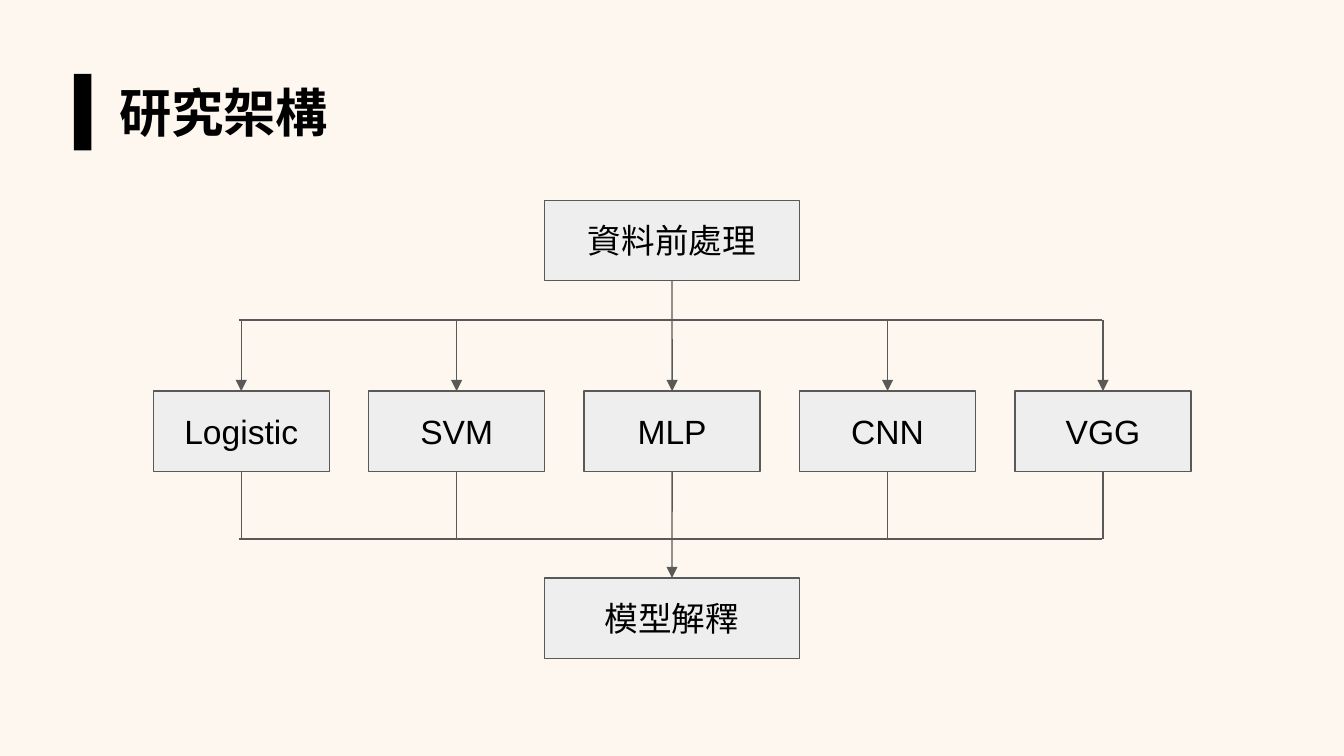
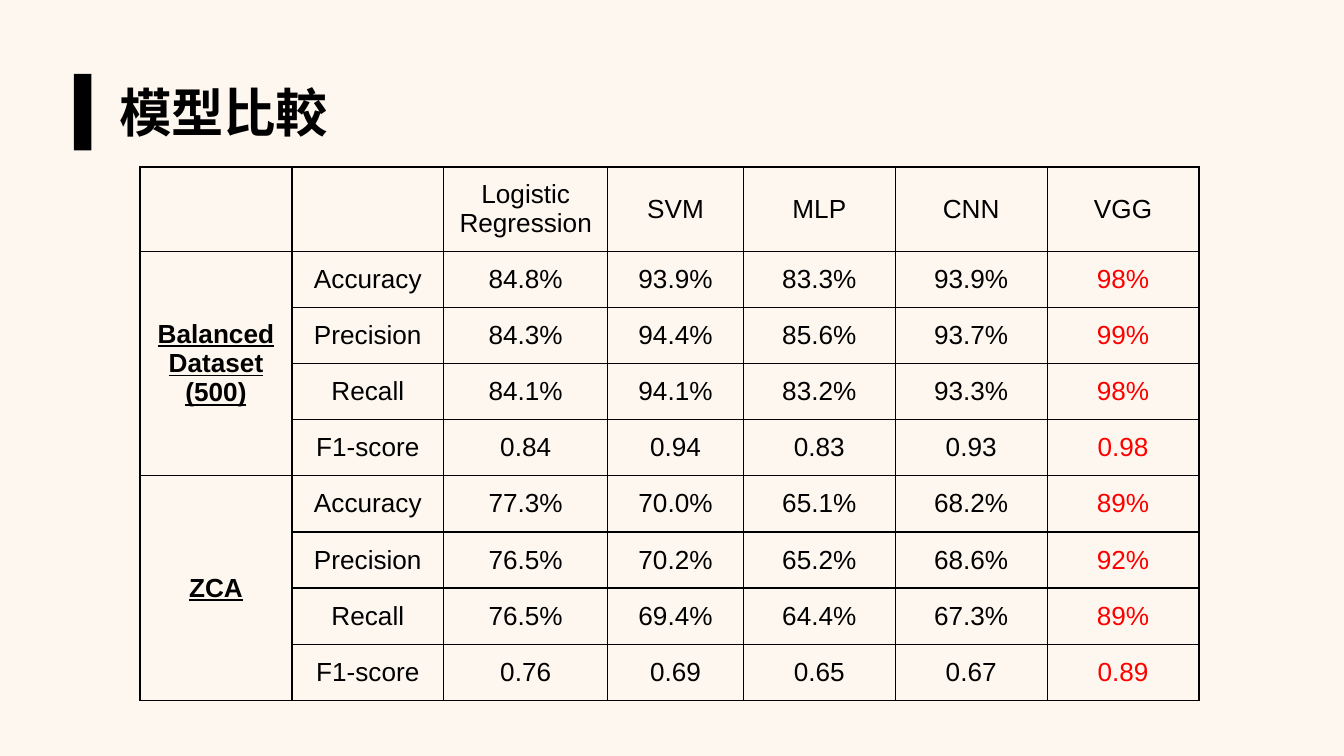
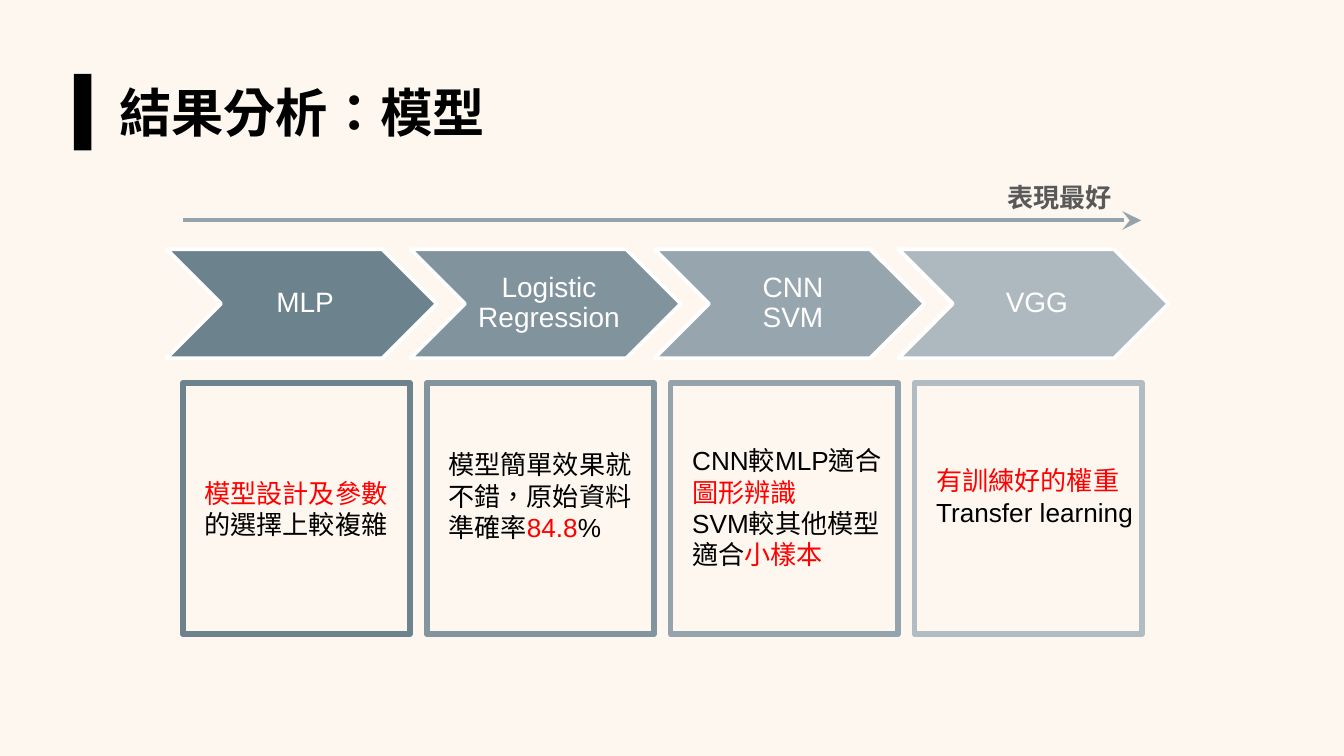
import lxml.etree
import pptx
import pptx.dml.color
import pptx.enum.lang
import pptx.enum.shapes
import pptx.enum.text
import pptx.oxml.ns
import pptx.util

rgb = pptx.dml.color.RGBColor.from_string
qn = pptx.oxml.ns.qn
Pt = pptx.util.Pt
SHAPE = pptx.enum.shapes.MSO_SHAPE
ANCHOR = pptx.enum.text.MSO_ANCHOR
CENTER = pptx.enum.text.PP_ALIGN.CENTER
FIT = pptx.enum.text.MSO_AUTO_SIZE.SHAPE_TO_FIT_TEXT
CHINESE = pptx.enum.lang.MSO_LANGUAGE_ID.TRADITIONAL_CHINESE

CELL = pptx.util.Inches(0.1)
COLS, ROWS = 100, 56.25
PAPER, INK, RED, GREY, PALE = "FEEDD8", "000000", "FF0000", "595959", "EEEEEE"


def grid(*units):
    return [round(u * CELL) for u in units]


def write(tf, text, size, color=INK, bold=None, align=None, spacing=None):
    tf.word_wrap = True
    for i, line in enumerate(text.split("\n")):
        p = tf.paragraphs[0] if i == 0 else tf.add_paragraph()
        for j, part in enumerate(line.split("*")):
            for k, piece in enumerate(part.split("\v")):
                if k:
                    p.add_line_break()
                if piece:
                    r = p.add_run()
                    r.text = piece
                    r.font.language_id = CHINESE
                    if j % 2:
                        r.font.color.rgb = rgb(RED)
        p.alignment = align
        p.line_spacing = spacing
        p.font.name = "Arial"
        p.font.size = Pt(size)
        p.font.bold = bold
        p.font.color.rgb = rgb(color)


prs = pptx.Presentation()
prs.slide_width, prs.slide_height = grid(COLS, ROWS)

slides = []
for title, width in [("研究架構", 18.7), ("模型比較", 83.6), ("結果分析：模型", 83.6)]:
    s = prs.slides.add_slide(prs.slide_layouts[6])
    s.background.fill.solid()
    s.background.fill.fore_color.rgb = rgb(PAPER)
    paper = next(s.element.iter(qn("a:srgbClr")))
    lxml.etree.SubElement(paper, qn("a:alpha"), val="40000")
    sp = s.shapes.add_textbox(*grid(7.9, 5.5, width, 5.7))
    write(sp.text_frame, title, 28, bold=True)
    sp.text_frame.auto_size = FIT
    sp = s.shapes.add_shape(SHAPE.RECTANGLE, *grid(5.5, 5.5, 1.3, 5.7))
    sp.shadow.inherit = False
    sp.fill.solid()
    sp.fill.fore_color.rgb = rgb(INK)
    sp.line.fill.background()
    slides.append(s)
flow, scores, analysis = slides

MODEL_LEFT, MODEL_W, MODEL_STEP, BOX_H = 11.4, 13.1, 16.03, 6
stages = [("資料前處理", 40.5, 14.9, 19), ("模型解釋", 40.5, 43, 19)]
for i, name in enumerate(["Logistic", "SVM", "MLP", "CNN", "VGG"]):
    stages.append((name, MODEL_LEFT + i * MODEL_STEP, 29.1, MODEL_W))
boxes = []
for name, left, top, width in stages:
    sp = flow.shapes.add_shape(SHAPE.RECTANGLE, *grid(left, top, width, BOX_H))
    sp.shadow.inherit = False
    sp.fill.solid()
    sp.fill.fore_color.rgb = rgb(PALE)
    sp.line.color.rgb = rgb(GREY)
    sp.line.width = Pt(0.75)
    tf = sp.text_frame
    tf.margin_left = tf.margin_right = tf.margin_top = tf.margin_bottom = CELL
    tf.vertical_anchor = ANCHOR.MIDDLE
    write(tf, name, 18, align=CENTER)
    boxes.append(sp)
first, last, *models = boxes

SPLIT, MERGE = 23.8, 40.1
lines = [
    (flow, (17.8, SPLIT, 82, SPLIT), GREY, 0.75, None, None, None),
    (flow, (17.8, MERGE, 82, MERGE), GREY, 0.75, None, None, None),
    (analysis, (13.6, 16.4, 84.9, 16.4), "95A4AC", 2, "stealth", None, None),
]
for i, box in enumerate(models):
    x = MODEL_LEFT + i * MODEL_STEP + MODEL_W / 2
    middle = i == 2
    lines.append((flow, (x, SPLIT, x, 29.1), GREY, 0.75, "triangle", first if middle else None, box))
    lines.append((flow, (x, 35.1, x, MERGE), GREY, 0.75, "triangle" if middle else None,
                  box, last if middle else None))
for s, ends, color, width, head, begin, end in lines:
    cx = s.shapes.add_connector(pptx.enum.shapes.MSO_CONNECTOR.STRAIGHT, *grid(*ends))
    if begin is not None:
        cx.begin_connect(begin, 2)
    if end is not None:
        cx.end_connect(end, 0)
    cx.line.color.rgb = rgb(color)
    cx.line.width = Pt(width)
    spPr = cx.element.spPr
    if head:
        size = "lg" if head == "stealth" else "med"
        lxml.etree.SubElement(spPr.find(qn("a:ln")), qn("a:tailEnd"), type=head, w=size, len=size)
    lxml.etree.SubElement(spPr, qn("a:effectLst"))

widths = [11.3, 11.3, 12.2, 10.1, 11.3, 11.3, 11.3]
rows = [
    ["", "", "Logistic Regression", "SVM", "MLP", "CNN", "VGG"],
    ["Balanced\nDataset\n(500)", "Accuracy", "84.8%", "93.9%", "83.3%", "93.9%", "*98%*"],
    ["", "Precision", "84.3%", "94.4%", "85.6%", "93.7%", "*99%*"],
    ["", "Recall", "84.1%", "94.1%", "83.2%", "93.3%", "*98%*"],
    ["", "F1-score", "0.84", "0.94", "0.83", "0.93", "*0.98*"],
    ["ZCA", "Accuracy", "77.3%", "70.0%", "65.1%", "68.2%", "*89%*"],
    ["", "Precision", "76.5%", "70.2%", "65.2%", "68.6%", "*92%*"],
    ["", "Recall", "76.5%", "69.4%", "64.4%", "67.3%", "*89%*"],
    ["", "F1-score", "0.76", "0.69", "0.65", "0.67", "*0.89*"],
]
ROW_H = 4.18
table = scores.shapes.add_table(
    len(rows), len(widths), *grid(10.42, 12.42, sum(widths), ROW_H * len(rows))).table
table.first_row = table.horz_banding = False
for column, width in zip(table.columns, widths):
    column.width = grid(width)[0]
for i, row in enumerate(rows):
    table.rows[i].height = grid(ROW_H)[0]
    for j, text in enumerate(row):
        cell = table.cell(i, j)
        cell.fill.background()
        cell.vertical_anchor = ANCHOR.MIDDLE
        cell.margin_left = cell.margin_right = CELL
        cell.margin_top = cell.margin_bottom = grid(0.8)[0]
        write(cell.text_frame, text, 14, bold=j == 0, align=CENTER)
        for p in cell.text_frame.paragraphs:
            p.font.underline = j == 0
        tcPr = cell._tc.get_or_add_tcPr()
        for k, side in enumerate(["a:lnL", "a:lnR", "a:lnT", "a:lnB"]):
            ln = lxml.etree.Element(qn(side), w=str(Pt(0.75)))
            fill = lxml.etree.SubElement(ln, qn("a:solidFill"))
            lxml.etree.SubElement(fill, qn("a:srgbClr"), val=INK)
            tcPr.insert(k, ln)
for top in (1, 5):
    table.cell(top, 0).merge(table.cell(top + 3, 0))

STEP = 18.15
ranks = [
    ("MLP", "6C828C", "6C828D", "*模型設計及參數*的選擇上較複雜", 35, 16.9, 5.7),
    ("Logistic\vRegression", "81939D", "82949E",
     "模型簡單效果就不錯，原始資料準確率*84.8*%", 32.9, 16.9, 8.1),
    ("CNN\vSVM", "97A6AE", "95A4AC",
     "CNN較MLP適合*圖形辨識*\nSVM較其他模型適合*小樣本*", 32.6, 16.9, 10.4),
    ("VGG", "AEB9BF", "B0BCC1", "*有訓練好的權重*\vTransfer learning", 34.1, 17.4, 5.7),
]
for i, (name, color, border, note, top, width, height) in enumerate(ranks):
    x = i * STEP
    sp = analysis.shapes.add_shape(SHAPE.CHEVRON, *grid(12.4 + x, 18.55, 20.1, 8.1))
    sp.shadow.inherit = False
    sp.fill.solid()
    sp.fill.fore_color.rgb = rgb(color)
    sp.line.color.rgb = rgb("FFFFFF")
    sp.line.width = Pt(2)
    sp = analysis.shapes.add_textbox(*grid(16.4 + x, 18.55, 12.1, 8.1))
    tf = sp.text_frame
    tf.margin_left, tf.margin_right, tf.margin_top, tf.margin_bottom = grid(0.7, 0.2, 0.2, 0.2)
    tf.vertical_anchor = ANCHOR.MIDDLE
    write(tf, name, 15, "FFFFFF", align=CENTER, spacing=0.9)
    sp = analysis.shapes.add_shape(SHAPE.RECTANGLE, *grid(13.6 + x, 28.5, 16.9, 18.7))
    sp.shadow.inherit = False
    sp.fill.background()
    sp.line.color.rgb = rgb(border)
    sp.line.width = Pt(3)
    sp = analysis.shapes.add_textbox(*grid(13.6 + x, top, width, height))
    sp.text_frame.margin_left = grid(1.6)[0]
    write(sp.text_frame, note, 14)
    sp.text_frame.auto_size = FIT
sp = analysis.shapes.add_textbox(*grid(73.95, 13, 9.9, 3.4))
write(sp.text_frame, "表現最好", 14, GREY, bold=True)
sp.text_frame.auto_size = FIT

prs.save("out.pptx")
